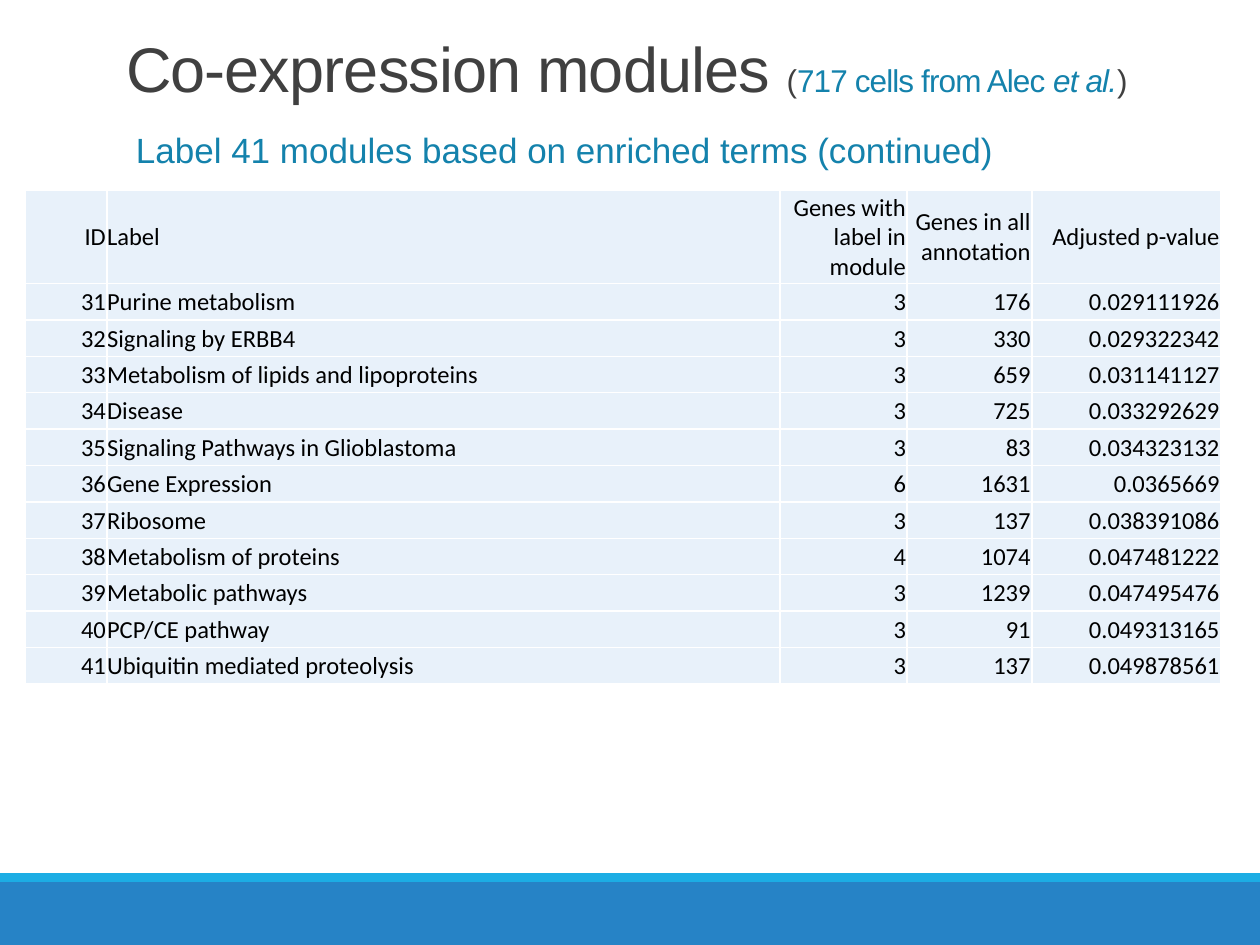
from lxml.etree import SubElement
from pptx import Presentation
from pptx.dml.color import RGBColor
from pptx.enum.shapes import MSO_SHAPE
from pptx.enum.text import MSO_ANCHOR, MSO_AUTO_SIZE, PP_ALIGN
from pptx.oxml.ns import qn
from pptx.util import Inches, Pt

COLORS = {
    "band": "2683C6",
    "stripe": "1CADE4",
    "title": "404040",
    "accent": "1482AC",
    "cell": "E8F1FA",
    "border": "FFFFFF",
    "text": "000000",
}
TITLE_RUNS = [
    ("Co-expression modules ", 36, "title", False),
    ("(", 18, "title", False),
    ("717 cells from Alec ", 18, "accent", False),
    ("et al.", 18, "accent", True),
    (")", 18, "title", False),
]
COLUMN_WIDTHS = [0.65, 5.34, 1.01, 0.99, 1.5]
TABLE_HEIGHT, HEADER_HEIGHT = 3.92, 0.74
LABEL_COLUMN = 1
HEADER = ["ID", "Label", "Genes with label in module", "Genes in all annotation",
          "Adjusted p-value"]
FIRST_ID = 31
MODULES = [
    ("Purine metabolism", 3, 176, "0.029111926"),
    ("Signaling by ERBB4", 3, 330, "0.029322342"),
    ("Metabolism of lipids and lipoproteins", 3, 659, "0.031141127"),
    ("Disease", 3, 725, "0.033292629"),
    ("Signaling Pathways in Glioblastoma", 3, 83, "0.034323132"),
    ("Gene Expression", 6, 1631, "0.0365669"),
    ("Ribosome", 3, 137, "0.038391086"),
    ("Metabolism of proteins", 4, 1074, "0.047481222"),
    ("Metabolic pathways", 3, 1239, "0.047495476"),
    ("PCP/CE pathway", 3, 91, "0.049313165"),
    ("Ubiquitin mediated proteolysis", 3, 137, "0.049878561"),
]


def set_attributes(target, values):
    for name, value in values.items():
        setattr(target, name, value)


def color(name):
    return RGBColor.from_string(COLORS[name])


def add_run(paragraph, text, size, color_name, font_name="Arial", italic=False):
    run = paragraph.add_run()
    run.text = text
    set_attributes(run.font, {"size": Pt(size), "name": font_name, "italic": italic})
    run.font.color.rgb = color(color_name)
    return run


def add_bar(slide, top, height, color_name):
    bar = slide.shapes.add_shape(
        MSO_SHAPE.RECTANGLE, 0, Inches(top), Inches(10), Inches(height))
    bar.shadow.inherit = False
    bar.fill.solid()
    bar.fill.fore_color.rgb = color(color_name)
    bar.line.fill.background()


def fill_title(slide):
    title = slide.shapes.title
    set_attributes(title, {"left": Inches(0.9), "top": Inches(0.09),
                           "width": Inches(8.25), "height": Inches(0.8)})
    set_attributes(title.text_frame, {"vertical_anchor": MSO_ANCHOR.BOTTOM,
                                      "auto_size": MSO_AUTO_SIZE.NONE,
                                      "word_wrap": True})
    paragraph = title.text_frame.paragraphs[0]
    set_attributes(paragraph, {"alignment": PP_ALIGN.LEFT, "line_spacing": 0.85})
    for text, size, color_name, italic in TITLE_RUNS:
        run = add_run(paragraph, text, size, color_name, italic=italic)
        run.font._element.set("spc", "-50")


def add_subtitle(slide):
    box = slide.shapes.add_textbox(
        Inches(0.9), Inches(0.97), Inches(8.25), Inches(0.9))
    box.text_frame.word_wrap = True
    paragraph = box.text_frame.paragraphs[0]
    paragraph.space_after = Pt(2)
    paragraph._p.get_or_add_pPr().set("marL", str(Inches(0.08)))
    add_run(paragraph, "Label 41 modules based on enriched terms (continued)",
            20, "accent")


def add_borders(cell):
    properties = cell._tc.get_or_add_tcPr()
    for side in ("lnL", "lnR", "lnT", "lnB"):
        line = SubElement(properties, qn(f"a:{side}"), w=str(Pt(1)))
        fill = SubElement(line, qn("a:solidFill"))
        SubElement(fill, qn("a:srgbClr"), val=COLORS["border"])


def fill_cell(cell, text, alignment):
    set_attributes(cell, {"vertical_anchor": MSO_ANCHOR.MIDDLE,
                          "margin_left": 0, "margin_right": Inches(0.01),
                          "margin_top": Inches(0.01), "margin_bottom": 0})
    add_borders(cell)
    cell.fill.solid()
    cell.fill.fore_color.rgb = color("cell")
    paragraph = cell.text_frame.paragraphs[0]
    paragraph.alignment = alignment
    add_run(paragraph, text, 14, "text", "Calibri")


def add_module_table(slide):
    rows = [HEADER] + [(number, *module)
                       for number, module in enumerate(MODULES, FIRST_ID)]
    row_height = (TABLE_HEIGHT - HEADER_HEIGHT) / len(MODULES)
    table = slide.shapes.add_table(
        len(rows), len(HEADER), Inches(0.2), Inches(1.51),
        Inches(sum(COLUMN_WIDTHS)), Inches(TABLE_HEIGHT)).table
    for column, width in zip(table.columns, COLUMN_WIDTHS):
        column.width = Inches(width)
    for row_index, values in enumerate(rows):
        table.rows[row_index].height = Inches(row_height if row_index else HEADER_HEIGHT)
        for column_index, value in enumerate(values):
            alignment = PP_ALIGN.LEFT if column_index == LABEL_COLUMN else PP_ALIGN.RIGHT
            fill_cell(table.cell(row_index, column_index), str(value), alignment)


def main():
    presentation = Presentation()
    set_attributes(presentation, {"slide_width": Inches(10), "slide_height": Inches(7.5)})
    slide = presentation.slides.add_slide(presentation.slide_layouts[5])
    add_bar(slide, 7, 0.5, "band")
    add_bar(slide, 6.93, 0.07, "stripe")
    fill_title(slide)
    add_subtitle(slide)
    add_module_table(slide)
    presentation.save("out.pptx")


if __name__ == "__main__":
    main()
